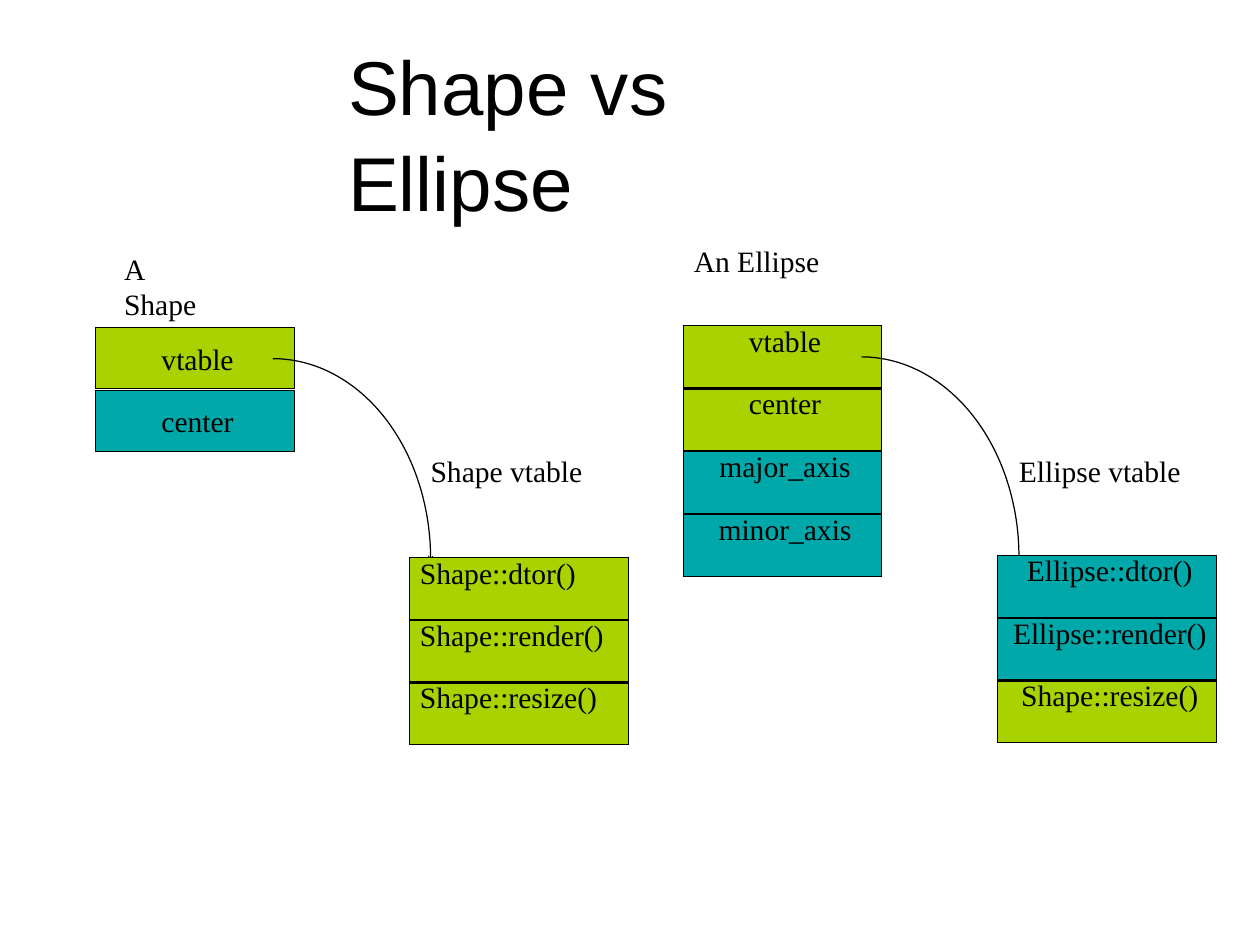
import math

from lxml import etree
from pptx import Presentation, util as u
from pptx.dml.color import RGBColor
from pptx.enum import shapes, text
from pptx.oxml import ns

Inches, Pt = u.Inches, u.Pt
COLORS = {"ink": "000000", "lime": "A8D200", "teal": "00A8AA"}
BODY = {"size": Pt(24), "name": "Times New Roman"}
TITLE = {"size": Pt(62), "name": "Arial"}
FRAME = {"margin_left": 0, "margin_top": 0, "margin_right": 0, "margin_bottom": 0}
LEFT, CENTER = text.PP_ALIGN.LEFT, text.PP_ALIGN.CENTER
INDENT = 0.06


def rgb(name):
    return RGBColor.from_string(COLORS[name])


def apply(target, values):
    for name, value in values.items():
        setattr(target, name, value)


def paint(fill, color):
    fill.solid()
    fill.fore_color.rgb = rgb(color)


def write(frame, wording, font=BODY, align=LEFT):
    """Fill the first paragraph of a text frame and return it."""
    paragraph = frame.paragraphs[0]
    paragraph.alignment = align
    run = paragraph.add_run()
    run.text = wording
    apply(run.font, font)
    run.font.color.rgb = rgb("ink")
    return paragraph


def add_label(slide, box, wording, font=BODY):
    label = slide.shapes.add_textbox(*map(Inches, box)).text_frame
    apply(label, {**FRAME, "word_wrap": True})
    return write(label, wording, font)


def add_title(slide):
    heading = add_label(slide, (3.93, 0.39, 6.2, 1.04), "Shape\tvs Ellipse", TITLE)
    heading.line_spacing = 1.05
    stops = etree.SubElement(heading._p.get_or_add_pPr(), ns.qn("a:tabLst"))
    etree.SubElement(stops, ns.qn("a:tab"), pos=str(Inches(2.74)), algn="l")


def add_field(slide, top, wording, color):
    """One member of the Shape object."""
    field = slide.shapes.add_shape(
        shapes.MSO_SHAPE.RECTANGLE, *map(Inches, (1.08, top, 2.24, 0.69)))
    field.shadow.inherit = False
    paint(field.fill, color)
    paint(field.line.fill, "ink")
    field.line.width = Pt(1)
    apply(field.text_frame, {**FRAME, "margin_left": Inches(INDENT),
                             "vertical_anchor": text.MSO_ANCHOR.MIDDLE})
    write(field.text_frame, wording, align=CENTER)


def add_border(cell, side, width):
    border = etree.SubElement(
        cell._tc.get_or_add_tcPr(), ns.qn(f"a:ln{side}"), w=str(Pt(width)))
    solid = etree.SubElement(border, ns.qn("a:solidFill"))
    etree.SubElement(solid, ns.qn("a:srgbClr"), val=COLORS["ink"])


def add_member_table(slide, box, members, rules, align=CENTER, indent=INDENT):
    """Stack members in one column; rules are line widths from top to bottom."""
    table = slide.shapes.add_table(len(members), 1, *map(Inches, box)).table
    apply(table, {"first_row": False, "horz_banding": False})
    for row, (wording, color) in enumerate(members):
        cell = table.cell(row, 0)
        apply(cell, {**FRAME, "margin_left": Inches(indent)})
        for side, width in zip("LRTB", (1, 1, rules[row], rules[row + 1])):
            add_border(cell, side, width)
        paint(cell.fill, color)
        write(cell.text_frame, wording, align=align)


def add_outline(slide, points, close):
    corners = [(Inches(x), Inches(y)) for x, y in points]
    builder = slide.shapes.build_freeform(*corners[0])
    builder.add_line_segments(corners[1:], close=close)
    outline = builder.convert_to_shape()
    outline.shadow.inherit = False
    return outline


def add_pointer(slide, left, top, width=1.78, height=2.26, steps=60):
    """Quarter ellipse from a vtable member down to its table."""
    angles = [math.pi / 2 * step / steps for step in range(steps + 1)]
    pointer = add_outline(slide, [
        (left + width * math.sin(a), top + height * (1 - math.cos(a)))
        for a in angles], close=False)
    pointer.fill.background()
    paint(pointer.line.fill, "ink")
    pointer.line.width = Pt(1)


def add_pointer_tip(slide, x, y):
    tip = add_outline(slide, [(x - 0.03, y), (x, y + 0.1), (x + 0.03, y),
                              (x, y + 0.03)], close=True)
    paint(tip.fill, "ink")
    tip.line.fill.background()


def main():
    deck = Presentation()
    apply(deck, {"slide_width": Inches(14.22), "slide_height": Inches(10.67)})
    slide = deck.slides.add_slide(deck.slide_layouts[6])
    add_title(slide)

    # Ellipse object and its vtable
    add_label(slide, (7.83, 2.74, 1.6, 0.41), "An Ellipse")
    add_member_table(slide, (7.71, 3.68, 2.24, 2.83), [
        ("vtable", "lime"), ("center", "lime"),
        ("major_axis", "teal"), ("minor_axis", "teal")], (1, 2.2, 2.2, 2.2, 1))
    add_pointer(slide, 9.72, 4.03)
    add_label(slide, (11.5, 5.11, 2, 0.41), "Ellipse vtable")
    add_member_table(slide, (11.26, 6.27, 2.47, 2.12), [
        ("Ellipse::dtor()", "teal"), ("Ellipse::render()", "teal"),
        ("Shape::resize()", "lime")], (1, 2, 3, 1))

    # Shape object and its vtable
    add_label(slide, (1.4, 2.83, 1.05, 0.41), "A Shape")
    add_field(slide, 4.41, "center", "teal")
    add_field(slide, 3.7, "vtable", "lime")
    add_pointer(slide, 3.08, 4.05)
    add_pointer_tip(slide, 4.86, 6.27)
    add_member_table(slide, (4.62, 6.3, 2.47, 2.11), [
        ("Shape::dtor()", "lime"), ("Shape::render()", "lime"),
        ("Shape::resize()", "lime")], (1, 2, 2, 1), LEFT, 0.12)
    add_label(slide, (4.86, 5.12, 1.9, 0.41), "Shape vtable")

    deck.save("out.pptx")


if __name__ == "__main__":
    main()
